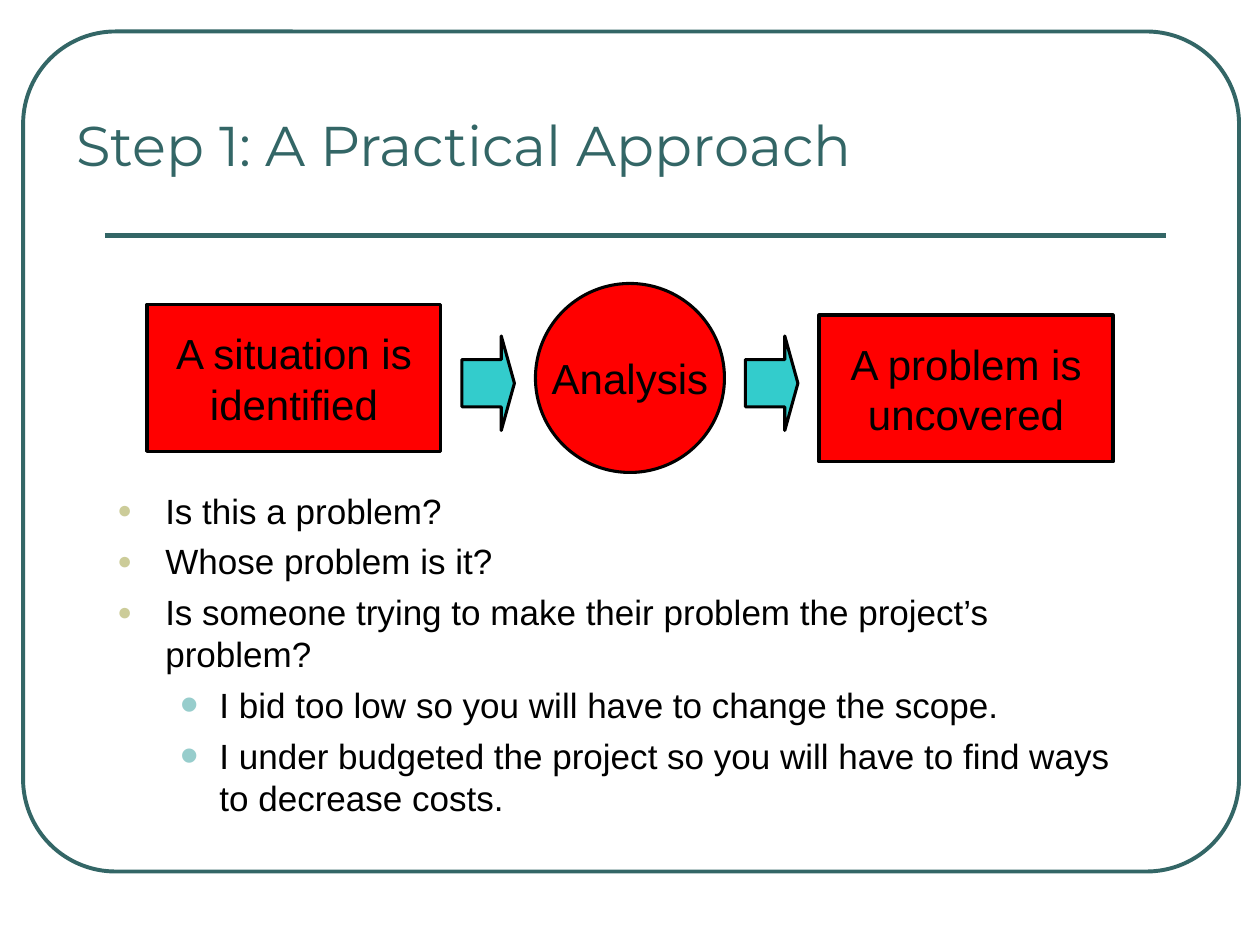
from lxml import etree
from pptx import Presentation
from pptx.dml.color import RGBColor
from pptx.enum.shapes import MSO_CONNECTOR, MSO_SHAPE
from pptx.enum.text import MSO_ANCHOR, PP_ALIGN
from pptx.oxml.ns import qn
from pptx.util import Inches, Pt

ROUNDED, RECT = MSO_SHAPE.ROUNDED_RECTANGLE, MSO_SHAPE.RECTANGLE
CIRCLE, ARROW = MSO_SHAPE.OVAL, MSO_SHAPE.RIGHT_ARROW
STRAIGHT = MSO_CONNECTOR.STRAIGHT
TOP, MIDDLE, BOTTOM = MSO_ANCHOR.TOP, MSO_ANCHOR.MIDDLE, MSO_ANCHOR.BOTTOM
LEFT, CENTER = PP_ALIGN.LEFT, PP_ALIGN.CENTER

# The slide is a grid of 120 columns by 90 rows, 12 to the inch
COLUMNS, ROWS, PER_INCH = 120, 90, 12
TEAL, BLACK, RED, CYAN = "336666", "000000", "FF0000", "33CCCC"

# Per level: bullet, colour, size in percent, text indent, hanging indent
BULLETS = [("●", "CCCC99", 70, 0.38, 0.38),
           ("•", "97CDCC", 150, 0.81, 0.31)]


def grid(cells):
    return Inches(cells / PER_INCH)


def color(hex_code):
    return RGBColor.from_string(hex_code)


class SlideBuilder:
    heading_font, body_font = "Montserrat", "Arial"

    def __init__(self, slide):
        self.slide = slide

    def shape(self, kind, box, fill=None, line=BLACK, weight=1.75, adjust=()):
        shape = self.slide.shapes.add_shape(kind, *map(grid, box))
        shape.shadow.inherit = False
        if fill:
            shape.fill.solid()
            shape.fill.fore_color.rgb = color(fill)
        else:
            shape.fill.background()
        shape.line.color.rgb = color(line)
        shape.line.width = Pt(weight)
        for index, value in enumerate(adjust):
            shape.adjustments[index] = value
        return shape

    def rule(self, left, right, row):
        rule = self.slide.shapes.add_connector(
            STRAIGHT, grid(left), grid(row), grid(right), grid(row))
        rule.line.color.rgb = color(TEAL)
        rule.line.width = Pt(3)
        etree.SubElement(rule._element.spPr, qn("a:effectLst"))

    def frame(self, box, anchor):
        frame = self.slide.shapes.add_textbox(*map(grid, box)).text_frame
        frame.word_wrap = True
        frame.vertical_anchor = anchor
        return frame

    def add_text(self, paragraph, text, size, font=body_font, ink=BLACK, align=LEFT):
        paragraph.alignment = align
        run = paragraph.add_run()
        run.text = text
        run.font.name = font
        run.font.size = Pt(size)
        run.font.color.rgb = color(ink)

    def title(self, box, text):
        frame = self.frame(box, BOTTOM)
        self.add_text(frame.paragraphs[0], text, 32, self.heading_font, TEAL)

    def step(self, kind, box, text, wrap=True):
        frame = self.shape(kind, box, RED).text_frame
        frame.word_wrap = wrap
        frame.vertical_anchor = MIDDLE
        self.add_text(frame.paragraphs[0], text, 24, align=CENTER)

    def bullets(self, box, items):
        frame = self.frame(box, TOP)
        for index, (level, text) in enumerate(items):
            paragraph = frame.add_paragraph() if index else frame.paragraphs[0]
            self.bullet(paragraph, level)
            if index:
                paragraph.space_before = Pt(5)
            self.add_text(paragraph, text, 20)

    def bullet(self, paragraph, level):
        char, ink, percent, indent, hanging = BULLETS[level]
        paragraph.level = level
        props = paragraph._p.get_or_add_pPr()
        props.set("marL", str(Inches(indent)))
        props.set("indent", str(-Inches(hanging)))
        tint = etree.SubElement(props, qn("a:buClr"))
        etree.SubElement(tint, qn("a:srgbClr"), val=ink)
        etree.SubElement(props, qn("a:buSzPct"), val=str(percent * 1000))
        etree.SubElement(props, qn("a:buFont"), typeface=self.body_font)
        etree.SubElement(props, qn("a:buChar"), char=char)


def main():
    deck = Presentation()
    deck.slide_width, deck.slide_height = grid(COLUMNS), grid(ROWS)
    page = SlideBuilder(deck.slides.add_slide(deck.slide_layouts[6]))

    # Border, rule and title
    page.shape(ROUNDED, (2.2, 3, 115.8, 80), line=TEAL, weight=2.25, adjust=[0.11])
    page.rule(10, 111, 22.4)
    page.title((6.1, 2.5, 98, 15), "Step 1: A Practical Approach")

    # Flow from situation to problem
    page.step(RECT, (14, 29, 28, 14), "A situation is identified")
    page.step(CIRCLE, (51, 27, 18, 18), "Analysis", wrap=False)
    page.step(RECT, (78, 30, 28, 14), "A problem is uncovered")
    for arrow_left in (44, 71):
        page.shape(ARROW, (arrow_left, 32, 5, 9), CYAN, adjust=[0.5, 0.25])

    # Questions to ask
    page.bullets((10, 46, 99, 34), [
        (0, "Is this a problem?"),
        (0, "Whose problem is it?"),
        (0, "Is someone trying to make their problem the project’s problem?"),
        (1, "I bid too low so you will have to change the scope."),
        (1, "I under budgeted the project so you will have to find ways "
            "to decrease costs."),
    ])

    deck.save("out.pptx")


if __name__ == "__main__":
    main()
